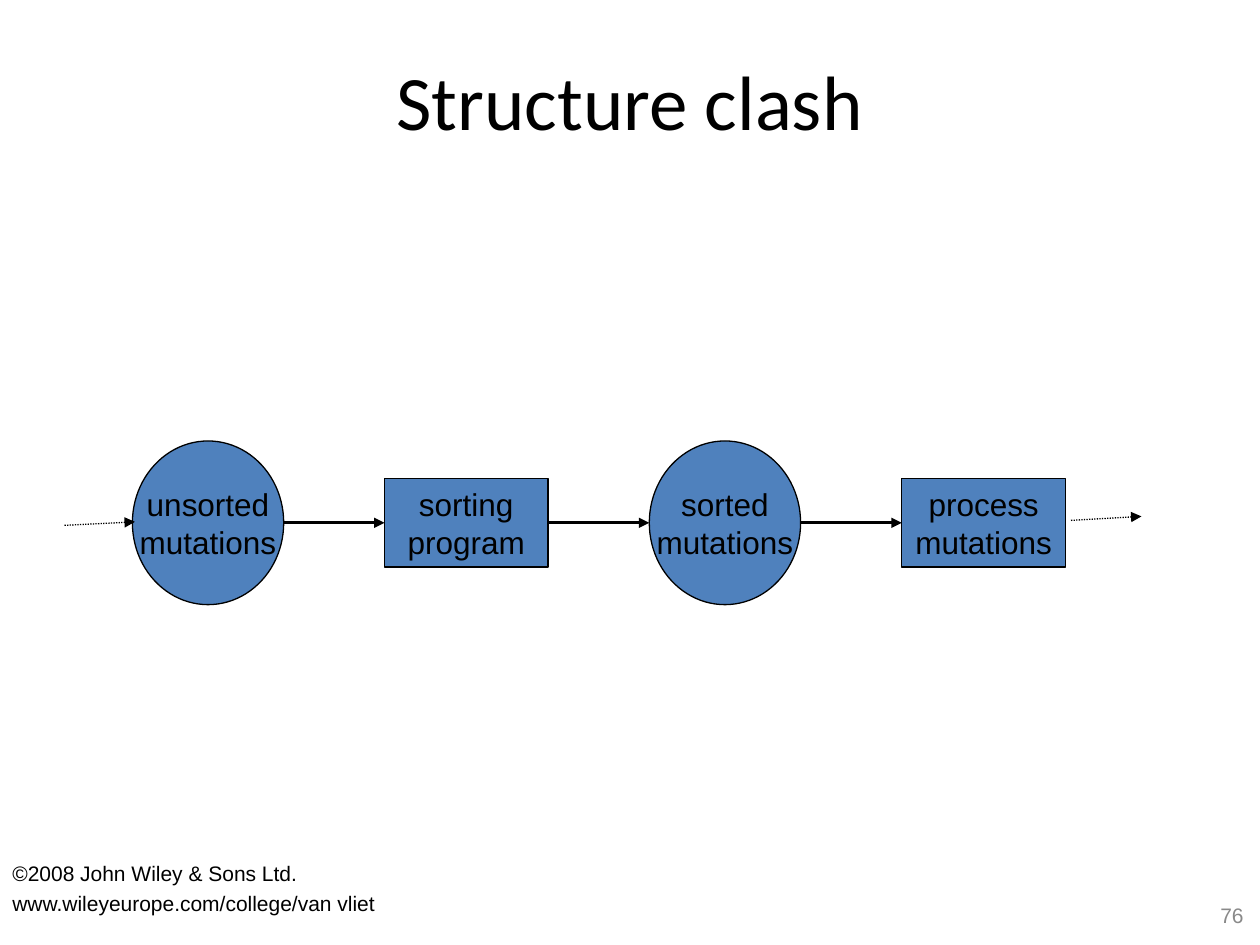
from lxml.etree import SubElement
from pptx import Presentation
from pptx.dml.color import RGBColor
from pptx.enum.dml import MSO_LINE
from pptx.enum.shapes import MSO_CONNECTOR, MSO_SHAPE
from pptx.enum.text import MSO_ANCHOR as ANCHOR, PP_ALIGN as ALIGN
from pptx.oxml.ns import qn
from pptx.util import Cm, Pt


def rgb(value):
    return RGBColor.from_string(value)


def write(sp, text, size=18, font="Arial", color="000000", align=ALIGN.CENTER,
          anchor=ANCHOR.MIDDLE, gap=0, wrap=True):
    """Fill a shape with one paragraph per line; gap is the space between them."""
    tf = sp.text_frame
    tf.word_wrap = wrap
    tf.vertical_anchor = anchor
    for i, line in enumerate(text.split("\n")):
        p = tf.paragraphs[0] if i == 0 else tf.add_paragraph()
        p.alignment = align
        p.space_before = Pt(gap if i else 0)
        r = p.add_run()
        r.text = line
        r.font.size = Pt(size)
        r.font.name = font
        r.font.color.rgb = rgb(color)


prs = Presentation()
prs.slide_width, prs.slide_height = Cm(25.4), Cm(19.05)
s = prs.slides.add_slide(prs.slide_layouts[6])

title = s.shapes.add_textbox(Cm(1.9), Cm(0.43), Cm(21.6), Cm(3.18))
write(title, "Structure clash", size=44, font="Calibri")

number = s.shapes.add_textbox(Cm(23.32), Cm(18.14), Cm(2), Cm(0.61))
write(number, "76", size=12, color="898989", align=ALIGN.RIGHT)

# Data sets (ellipses) alternate with programs (rectangles) along one axis
axis = 10.54
ellipse = (MSO_SHAPE.OVAL, 3.05, 3.3)
rect = (MSO_SHAPE.RECTANGLE, 3.3, 1.78)
steps = [
    ("unsorted\nmutations", 2.67, ellipse),
    ("sorting\nprogram", 7.75, rect),
    ("sorted\nmutations", 13.09, ellipse),
    ("process\nmutations", 18.18, rect),
]
nodes = []
for text, left, (kind, width, height) in steps:
    sp = s.shapes.add_shape(kind, Cm(left), Cm(axis - height / 2), Cm(width), Cm(height))
    sp.shadow.inherit = False
    sp.fill.solid()
    sp.fill.fore_color.rgb = rgb("4F81BD")
    sp.line.color.rgb = rgb("000000")
    sp.line.width = Pt(0.75)
    write(sp, text, wrap=kind == MSO_SHAPE.RECTANGLE)
    nodes.append(sp)

# Each arrow: start, end, source node, target node, dotted
arrows = [
    (Cm(21.59), Cm(10.49), Cm(23.01), Cm(10.41), None, None, True),
    (Cm(1.3), Cm(10.59), Cm(2.72), Cm(10.52), None, None, True),
]
for a, b in zip(nodes, nodes[1:]):
    arrows.append((a.left + a.width, Cm(axis), b.left, Cm(axis), a, b, False))

for x1, y1, x2, y2, source, target, dotted in arrows:
    line = s.shapes.add_connector(MSO_CONNECTOR.STRAIGHT, x1, y1, x2, y2)
    if source and source.auto_shape_type == MSO_SHAPE.RECTANGLE:
        line.begin_connect(source, 3)
    if target and target.auto_shape_type == MSO_SHAPE.RECTANGLE:
        line.end_connect(target, 1)
    line.line.color.rgb = rgb("000000")
    line.line.width = Pt(0.75 if dotted else 1.5)
    if dotted:
        line.line.dash_style = MSO_LINE.ROUND_DOT
    SubElement(line.line._get_or_add_ln(), qn("a:tailEnd"), type="triangle")
    SubElement(line._element.spPr, qn("a:effectLst"))

footer = s.shapes.add_textbox(Cm(0), Cm(17.22), Cm(16.71), Cm(1.83))
write(footer, "©2008 John Wiley & Sons Ltd.\nwww.wileyeurope.com/college/van vliet",
      size=12, align=ALIGN.LEFT, anchor=ANCHOR.TOP, gap=3)

prs.save("out.pptx")
